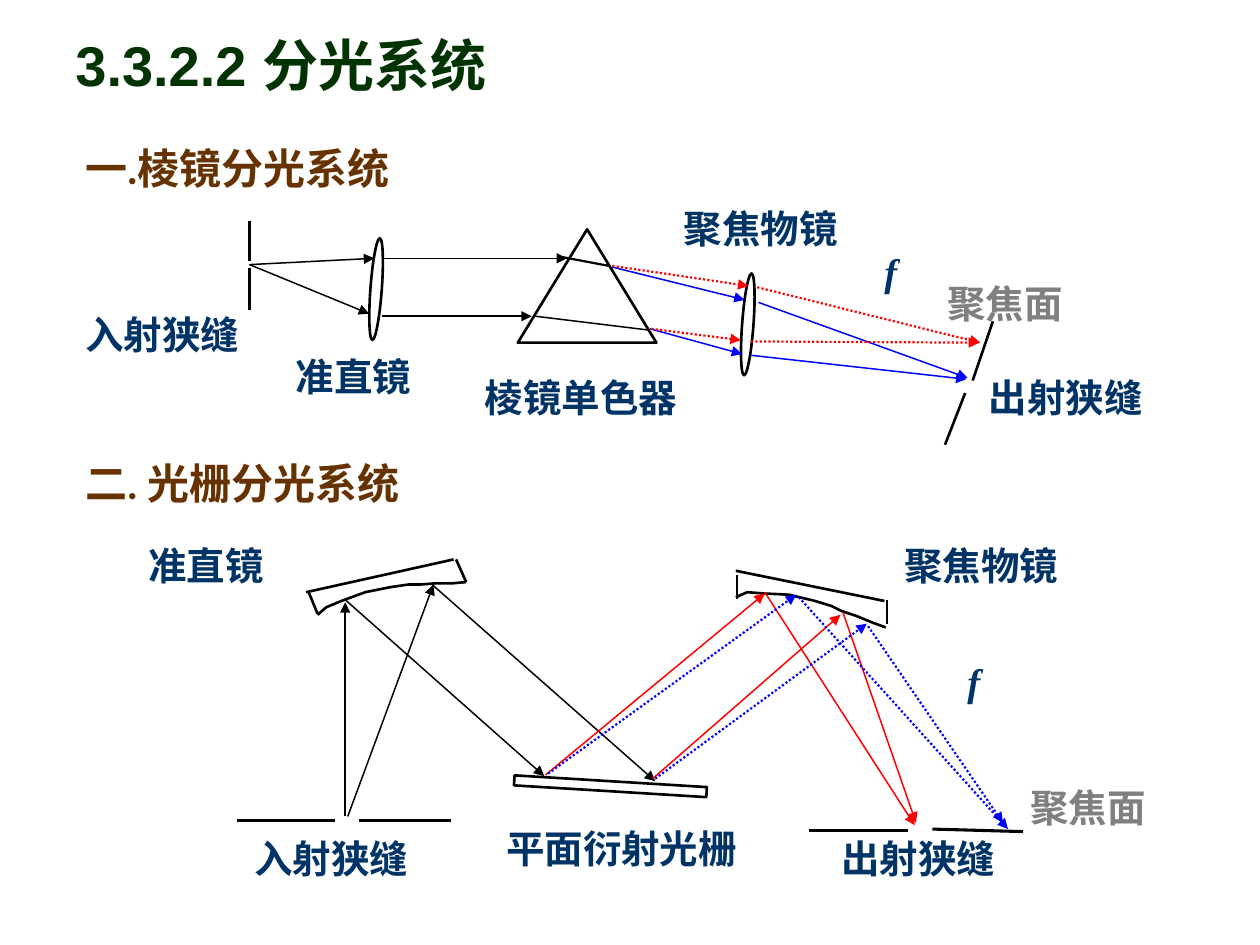
from lxml.etree import SubElement
from pptx import Presentation
from pptx.dml.color import RGBColor
from pptx.enum.dml import MSO_LINE
from pptx.enum.shapes import MSO_CONNECTOR, MSO_SHAPE
from pptx.enum.text import MSO_ANCHOR, MSO_AUTO_SIZE
from pptx.oxml.ns import qn
from pptx.util import Emu, Pt

PX = 9144  # 100 px to the inch
BLACK = RGBColor(0, 0, 0)
WHITE = RGBColor(255, 255, 255)
RED = RGBColor(255, 0, 0)
BLUE = RGBColor(0, 0, 255)
GREEN = RGBColor(0, 0x33, 0)
BROWN = RGBColor(0x66, 0x33, 0)
NAVY = RGBColor(0, 0x33, 0x66)
GRAY = RGBColor(0x80, 0x80, 0x80)
CJK = "Noto Sans CJK SC"

TEXT_STYLES = {
    "title": dict(name="Arial", size=Pt(32), bold=True, color=GREEN),
    "heading": dict(name="Lato", size=Pt(24), bold=True, color=BROWN),
    "label": dict(name=CJK, size=Pt(22), bold=True, color=NAVY),
    "plane": dict(name=CJK, size=Pt(22), bold=True, color=GRAY),
    "focal": dict(name="Times New Roman", size=Pt(22), bold=True,
                  italic=True, color=NAVY),
}
# style, text, left, top, width, height
TEXTS = [
    ("title", "3.3.2.2 分光系统", 50, 19, 892, 64),
    ("heading", "一.棱镜分光系统", 58, 108, 642, 50),
    ("label", "入射狭缝", 58, 242, 158, 47),
    ("label", "准直镜", 225, 275, 125, 47),
    ("label", "棱镜单色器", 375, 292, 188, 47),
    ("label", "聚焦物镜", 533, 158, 158, 47),
    ("focal", "f", 692, 192, 31, 47),
    ("plane", "聚焦面", 742, 217, 117, 47),
    ("label", "出射狭缝", 775, 292, 158, 47),
    ("heading", "二. 光栅分光系统", 58, 358, 642, 50),
    ("label", "准直镜", 108, 425, 125, 47),
    ("label", "入射狭缝", 192, 658, 158, 47),
    ("label", "平面衍射光栅", 392, 650, 217, 47),
    ("label", "聚焦物镜", 708, 425, 158, 47),
    ("focal", "f", 758, 517, 26, 47),
    ("label", "出射狭缝", 658, 658, 158, 47),
    ("plane", "聚焦面", 808, 617, 117, 47),
]

# preset, left, top, width, height, rotation
OPTICS = [
    (MSO_SHAPE.OVAL, 294, 189, 9, 81, 4.2),
    (MSO_SHAPE.ISOSCELES_TRIANGLE, 411, 182, 110, 90, 0),
    (MSO_SHAPE.OVAL, 589, 217, 9, 81, 4.2),
    (MSO_SHAPE.RECTANGLE, 408, 620, 153, 8, 3.5),
]
MIRROR_FACES = [
    [(252, 488), (259, 482), (271, 477), (290, 470), (310, 466), (324, 464),
     (333, 464), (346, 463), (359, 463), (370, 462)],
    [(584, 474), (593, 470), (606, 471), (626, 472), (647, 477), (660, 481),
     (668, 485), (680, 489), (692, 494), (703, 498)],
]

# colour, width in points, dotted, arrowhead
LINE_STYLES = {
    "slit": (BLACK, 1.75, False, False),
    "edge": (BLACK, 1.5, False, False),
    "inside": (BLACK, 0.85, False, False),
    "inside top": (BLACK, 1.25, False, False),
    "white ray": (BLACK, 0.85, False, True),
    "red ray": (RED, 0.85, False, True),
    "blue ray": (BLUE, 0.85, False, True),
    "red dots": (RED, 1.25, True, True),
    "blue dots": (BLUE, 1.25, True, True),
}
PRISM_LINES = {
    "slit": [(198, 175, 198, 207), (198, 213, 198, 246)],
    "edge": [(788, 255, 772, 302), (766, 312, 750, 353)],
    "white ray": [(198, 210, 297, 205), (198, 210, 293, 249),
                  (303, 205, 450, 205), (303, 251, 422, 251)],
    "inside": [(425, 251, 515, 262)],
    "inside top": [(446, 204, 483, 211)],
    "blue ray": [(486, 212, 591, 238), (516, 261, 589, 281),
                 (602, 240, 768, 300), (596, 282, 767, 301)],
    "red dots": [(486, 211, 594, 227), (517, 261, 588, 270),
                 (601, 228, 778, 272), (596, 271, 777, 272)],
}
GRATING_LINES = {
    "slit": [(188, 651, 266, 651), (285, 651, 358, 651),
             (642, 659, 721, 659), (740, 658, 812, 660)],
    "edge": [(243, 470, 360, 444), (245, 470, 252, 487), (362, 444, 370, 462),
             (584, 453, 702, 477), (585, 456, 585, 475), (704, 476, 704, 495)],
    "white ray": [(274, 648, 274, 478), (276, 648, 344, 464),
                  (274, 476, 432, 616), (343, 464, 520, 620)],
    "red ray": [(433, 615, 607, 471), (607, 470, 726, 655),
                (518, 618, 667, 488), (669, 486, 727, 653)],
    "blue dots": [(435, 614, 632, 472), (520, 618, 688, 495),
                  (634, 474, 800, 658), (689, 497, 796, 653)],
}


def px(*values):
    return [Emu(v * PX) for v in values]


def add_text(shapes, style, text, *box):
    tf = shapes.add_textbox(*px(*box)).text_frame
    tf.word_wrap = True
    if style == "heading":
        tf.vertical_anchor = MSO_ANCHOR.MIDDLE
    else:
        tf.auto_size = MSO_AUTO_SIZE.SHAPE_TO_FIT_TEXT
    r = tf.paragraphs[0].add_run()
    r.text = text
    for key, value in TEXT_STYLES[style].items():
        if key == "color":
            r.font.color.rgb = value
        else:
            setattr(r.font, key, value)
    SubElement(r.font._element, qn("a:ea"), typeface=CJK)


def outline(sp):
    sp.shadow.inherit = False
    sp.line.color.rgb = BLACK
    sp.line.width = Pt(1.5)


def add_optic(shapes, preset, left, top, width, height, rotation):
    sp = shapes.add_shape(preset, *px(left, top, width, height))
    sp.rotation = rotation
    sp.fill.solid()
    sp.fill.fore_color.rgb = WHITE
    outline(sp)


def add_mirror_face(shapes, points):
    builder = shapes.build_freeform(*points[0], scale=PX)
    builder.add_line_segments(points[1:], close=False)
    sp = builder.convert_to_shape()
    sp.fill.background()
    outline(sp)


def add_line(shapes, style, ends):
    color, width, dotted, arrow = LINE_STYLES[style]
    line = shapes.add_connector(MSO_CONNECTOR.STRAIGHT, *px(*ends))
    line.line.color.rgb = color
    line.line.width = Pt(width)
    if dotted:
        line.line.dash_style = MSO_LINE.ROUND_DOT
    if arrow:
        SubElement(line.line._get_or_add_ln(), qn("a:tailEnd"), type="triangle")
    SubElement(line._element.spPr, qn("a:effectLst"))


def main():
    prs = Presentation()
    prs.slide_width, prs.slide_height = px(1000, 750)
    shapes = prs.slides.add_slide(prs.slide_layouts[6]).shapes
    for text in TEXTS:
        add_text(shapes, *text)
    for optic in OPTICS:
        add_optic(shapes, *optic)
    for points in MIRROR_FACES:
        add_mirror_face(shapes, points)
    for diagram in (GRATING_LINES, PRISM_LINES):
        for style, lines in diagram.items():
            for ends in lines:
                add_line(shapes, style, ends)
    prs.save("out.pptx")


if __name__ == "__main__":
    main()
